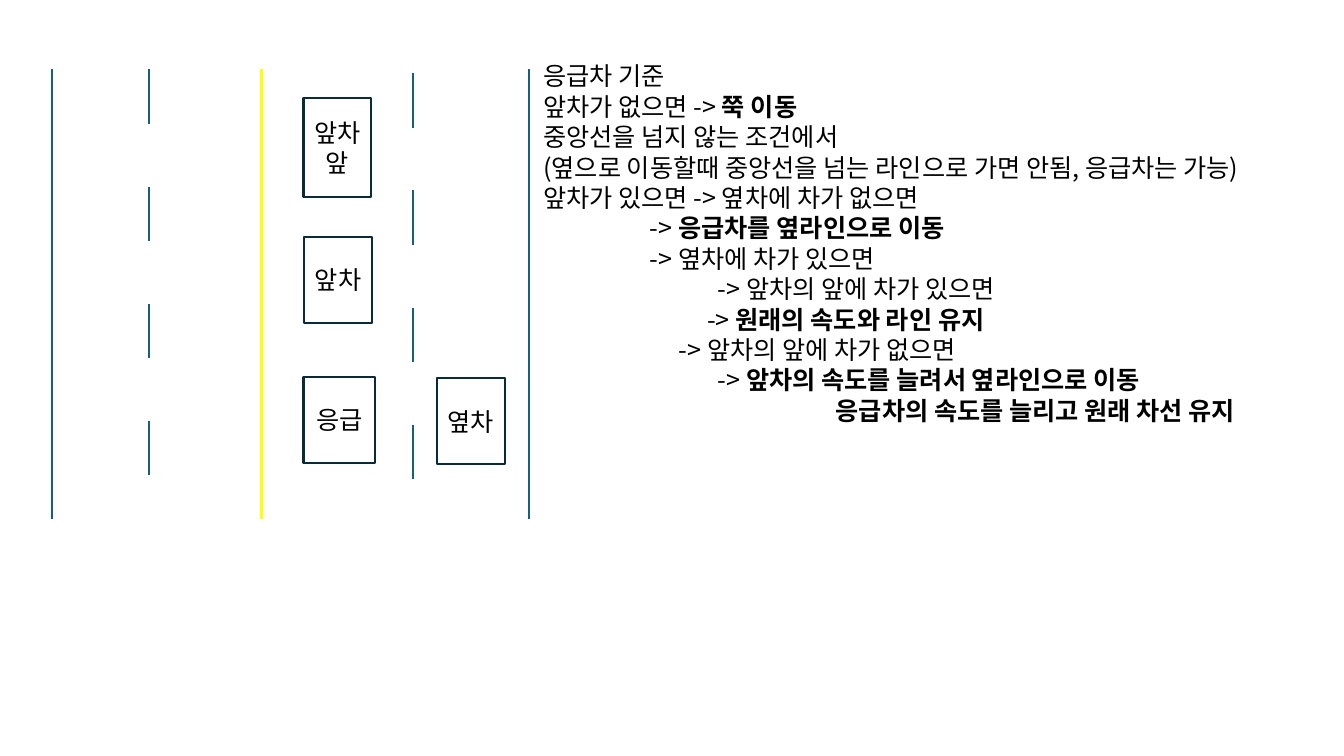
import dataclasses

import lxml.etree
import pptx
import pptx.dml.color
import pptx.enum.shapes
import pptx.enum.text
import pptx.oxml.ns
import pptx.util

Cm = pptx.util.Cm
Pt = pptx.util.Pt

FONT = "Noto Sans CJK KR"
COLORS = {"text": "000000", "car": "092A39", "lane": "156082", "center": "FFFF00"}

ROAD_TOP, ROAD_BOTTOM = 1.75, 13.08
DASH_COUNT, DASH_LENGTH, DASH_PITCH = 4, 1.38, 2.95


@dataclasses.dataclass
class Car:
    label: str
    left: float
    top: float
    width: float
    height: float


@dataclasses.dataclass
class RoadLine:
    x: float
    top: float = ROAD_TOP
    bottom: float = ROAD_BOTTOM
    color: str = "lane"
    weight: float = 1.5


@dataclasses.dataclass
class Rule:
    plain: str
    bold: str = ""
    indent: float = 0


CARS = [
    Car("앞차앞", 7.65, 2.46, 1.7, 2.51),
    Car("앞차", 7.67, 5.97, 1.7, 2.16),
    Car("응급", 7.65, 9.5, 1.8, 2.16),
    Car("옆차", 11.02, 9.53, 1.7, 2.16),
]

SOLID_LINES = [
    RoadLine(1.32),
    RoadLine(6.58, color="center", weight=2),
    RoadLine(13.34),
]
DASHED_LINES = [RoadLine(3.76), RoadLine(10.41, top=1.85)]

RULES = [
    Rule("응급차 기준"),
    Rule("앞차가 없으면 -> ", "쭉 이동"),
    Rule("중앙선을 넘지 않는 조건에서"),
    Rule("(옆으로 이동할때 중앙선을 넘는 라인으로 가면 안됨, 응급차는 가능)"),
    Rule("앞차가 있으면 -> 옆차에 차가 없으면"),
    Rule("-> ", "응급차를 옆라인으로 이동", 2.69),
    Rule("-> 옆차에 차가 있으면", indent=2.69),
    Rule("-> 앞차의 앞에 차가 있으면", indent=4.4),
    Rule("-> ", "원래의 속도와 라인 유지", 4.13),
    Rule("-> 앞차의 앞에 차가 없으면", indent=3.42),
    Rule("-> ", "앞차의 속도를 늘려서 옆라인으로 이동", 4.4),
    Rule("", "응급차의 속도를 늘리고 원래 차선 유지", 7.37),
]


def color_of(name: str) -> pptx.dml.color.RGBColor:
    return pptx.dml.color.RGBColor.from_string(COLORS[name])


def add_span(para, text: str, *, bold: bool = False, size: float = 18) -> None:
    span = para.add_run()
    span.text = text
    span.font.name = FONT
    span.font.size = Pt(size)
    span.font.bold = bold
    span.font.color.rgb = color_of("text")
    east_asian = lxml.etree.SubElement(span.font._element, pptx.oxml.ns.qn("a:ea"))
    east_asian.set("typeface", FONT)


def add_car(page, car: Car) -> None:
    box = page.shapes.add_shape(
        pptx.enum.shapes.MSO_SHAPE.RECTANGLE,
        Cm(car.left), Cm(car.top), Cm(car.width), Cm(car.height),
    )
    box.shadow.inherit = False
    box.fill.background()
    box.line.color.rgb = color_of("car")
    box.line.width = Pt(1.5)
    box.text_frame.word_wrap = True
    box.text_frame.vertical_anchor = pptx.enum.text.MSO_ANCHOR.MIDDLE
    para = box.text_frame.paragraphs[0]
    para.alignment = pptx.enum.text.PP_ALIGN.CENTER
    para.line_spacing = Pt(21.7)
    add_span(para, car.label)


def add_road_line(page, line: RoadLine) -> None:
    connector = page.shapes.add_connector(
        pptx.enum.shapes.MSO_CONNECTOR.STRAIGHT,
        Cm(line.x), Cm(line.top), Cm(line.x), Cm(line.bottom),
    )
    connector.line.color.rgb = color_of(line.color)
    connector.line.width = Pt(line.weight)
    lxml.etree.SubElement(connector._element.spPr, pptx.oxml.ns.qn("a:effectLst"))


def add_dashes(page, line: RoadLine) -> None:
    for index in range(DASH_COUNT):
        top = line.top + index * DASH_PITCH
        add_road_line(page, dataclasses.replace(line, top=top, bottom=top + DASH_LENGTH))


def add_rules(page, rules: list[Rule]) -> None:
    box = page.shapes.add_textbox(Cm(13.44), Cm(1.4), Cm(22.17), Cm(9.5))
    frame = box.text_frame
    frame.word_wrap = True
    for index, rule in enumerate(rules):
        para = frame.add_paragraph() if index else frame.paragraphs[0]
        para.line_spacing = Pt(21.7)
        if rule.indent:
            properties = para._element.get_or_add_pPr()
            properties.set("marL", str(Cm(rule.indent)))
            properties.set("indent", "0")
        if rule.plain:
            add_span(para, rule.plain)
        if rule.bold:
            add_span(para, rule.bold, bold=True)


def main() -> None:
    deck = pptx.Presentation()
    deck.slide_width, deck.slide_height = Cm(33.87), Cm(19.05)
    page = deck.slides.add_slide(deck.slide_layouts[6])
    for car in CARS:
        add_car(page, car)
    for line in SOLID_LINES:
        add_road_line(page, line)
    for line in DASHED_LINES:
        add_dashes(page, line)
    add_rules(page, RULES)
    deck.save("out.pptx")


if __name__ == "__main__":
    main()
